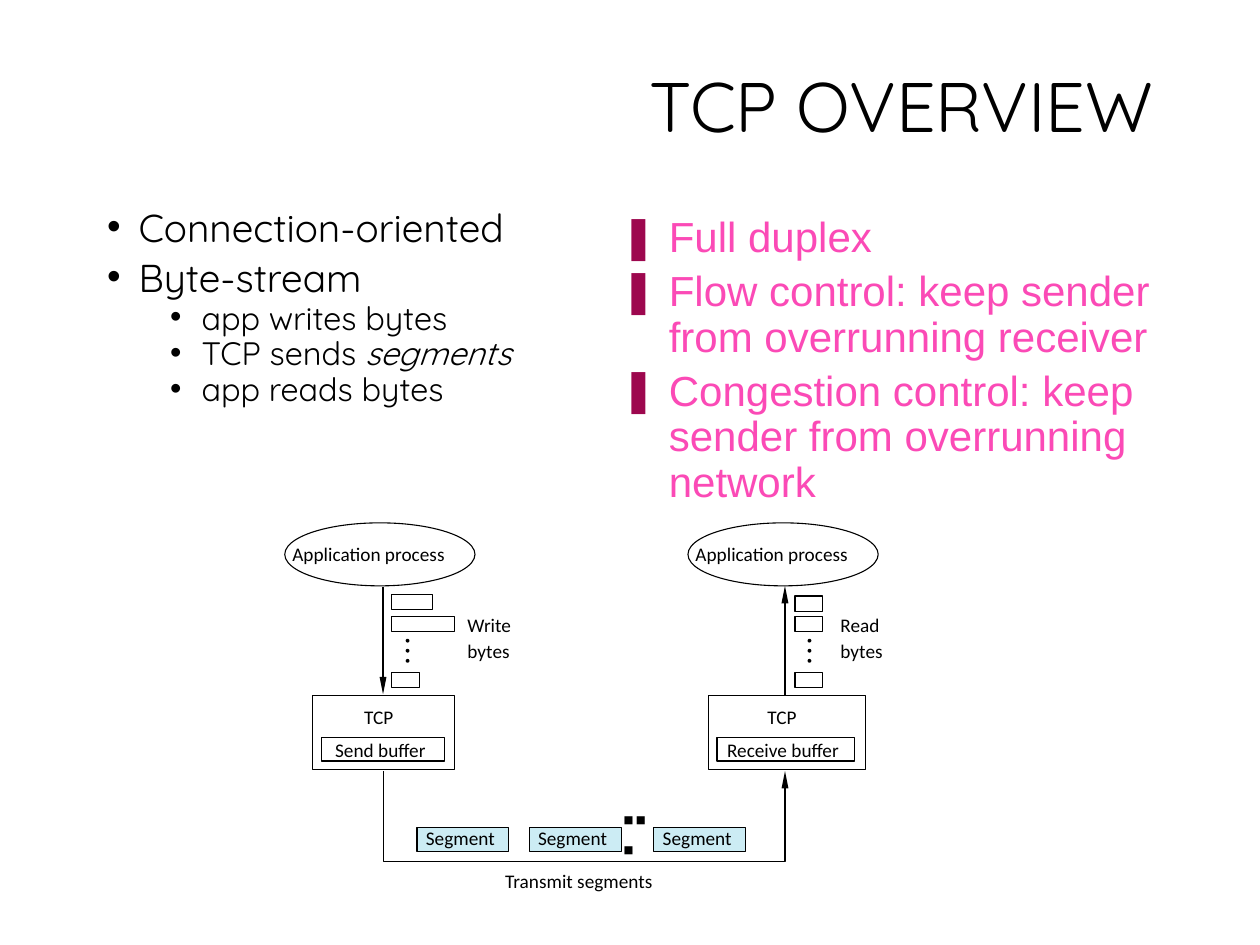
"""Build the TCP overview slide with its two bullet lists and data-flow diagram."""
from dataclasses import dataclass
from typing import Any, Optional

from lxml import etree
from pptx import Presentation
from pptx.dml.color import RGBColor
from pptx.enum import shapes, text
from pptx.oxml.ns import qn
from pptx.util import Inches, Pt


@dataclass(frozen=True)
class Theme:
    """Colours, fonts and type sizes of the slide."""
    ink: str = "000000"
    paper: str = "FFFFFF"
    segment: str = "CCECF4"
    pink: str = "FB4AB6"
    marker: str = "9D074E"
    main: str = "Quicksand"
    accent: str = "Arial"
    label: str = "Calibri"
    title_pt: float = 40
    item_pt: float = 22.2
    subitem_pt: float = 18.5
    accent_pt: float = 24
    label_pt: float = 11
    square_pt: float = 6
    gap_pt: float = 16
    line_pt: float = 0.63


@dataclass(frozen=True)
class Item:
    """A bullet paragraph, with an optional italic ending."""
    words: str
    level: int = 0
    italic: str = ""


@dataclass(frozen=True)
class Bullets:
    """The look of one bullet level."""
    char: str
    left: float
    hang: float
    spacing: float
    before: float
    font: str
    size: float
    color: str
    bullet_color: str


@dataclass(frozen=True)
class Box:
    """An outlined preset shape, in inches."""
    x: float
    y: float
    w: float
    h: float
    fill: Optional[str] = None
    kind: Any = shapes.MSO_SHAPE.RECTANGLE


@dataclass(frozen=True)
class Label:
    """A one-line caption, in inches."""
    words: str
    x: float
    y: float
    w: float


T = Theme()
MAIN = [
    Bullets("•", 0.25, 0.25, 0.7, 10, T.main, T.item_pt, T.ink, T.ink),
    Bullets("•", 0.75, 0.25, 0.7, 5, T.main, T.subitem_pt, T.ink, T.ink),
]
ACCENT = [Bullets("❚", 0.38, 0.38, 0.9, 5, T.accent, T.accent_pt, T.pink, T.marker)]
LEFT_ITEMS = [
    Item("Connection-oriented"),
    Item("Byte-stream"),
    Item("app writes bytes", 1),
    Item("TCP sends ", 1, "segments"),
    Item("app reads bytes", 1),
]
RIGHT_ITEMS = [
    Item("Full duplex"),
    Item("Flow control: keep sender from overrunning receiver"),
    Item("Congestion control: keep sender from overrunning network"),
]
OVAL = shapes.MSO_SHAPE.OVAL
SEND_X, RECEIVE_X = 3.04, 6.23
SEGMENT_XS = (3.31, 4.2, 5.19)
BOXES = [
    Box(2.48, 5.52, 1.13, 0.59, T.paper),
    Box(5.62, 5.52, 1.25, 0.59, T.paper),
    Box(2.26, 4.15, 1.51, 0.5, T.paper, OVAL),
    Box(5.46, 4.15, 1.51, 0.5, T.paper, OVAL),
    Box(2.55, 5.85, 0.98, 0.19),
    Box(5.69, 5.85, 1.09, 0.19),
    *[Box(3.11, y, w, 0.12) for y, w in ((4.72, 0.32), (4.89, 0.5), (5.34, 0.22))],
    *[Box(6.31, y, 0.22, 0.12) for y in (4.73, 4.89, 5.34)],
    *[Box(x, 6.57, 0.73, 0.19, T.segment) for x in SEGMENT_XS],
]
LABELS = [
    *[Label("Application process", x, 4.3, 1.33) for x in (2.32, 5.52)],
    *[Label("TCP", x, 5.6, 0.31) for x in (2.89, 6.09)],
    Label("Write", 3.71, 4.87, 0.35),
    Label("Read", 6.67, 4.87, 0.37),
    *[Label("bytes", x, 5.07, 0.36) for x in (3.71, 6.67)],
    Label("Send buffer", 2.66, 5.86, 0.79),
    Label("Receive buffer", 5.77, 5.86, 0.99),
    *[Label("Segment", x + 0.07, 6.56, 0.61) for x in SEGMENT_XS],
    Label("Transmit segments", 4.01, 6.9, 1.3),
]


def add_run(p: Any, words: str, font: str, size: float, color: str, italic: bool = False) -> None:
    """Append one formatted run."""
    r = p.add_run()
    r.text = words
    r.font.name, r.font.size = font, Pt(size)
    r.font.color.rgb = RGBColor.from_string(color)
    if italic:
        r.font.italic = True


def place(sp: Any, x: float, y: float, w: float, h: float) -> None:
    """Move and size a placeholder."""
    sp.left, sp.top, sp.width, sp.height = (Inches(v) for v in (x, y, w, h))


def fill_list(tf: Any, items: list[Item], levels: list[Bullets]) -> None:
    """Write the bullet paragraphs of a list."""
    tf.word_wrap, tf.auto_size = True, text.MSO_AUTO_SIZE.NONE
    for i, item in enumerate(items):
        p = tf.add_paragraph() if i else tf.paragraphs[0]
        b = levels[item.level]
        p.level, p.line_spacing = item.level, b.spacing
        p.space_before, p.space_after = Pt(b.before if i else 0), Pt(0)
        pPr = p._p.get_or_add_pPr()
        pPr.set("marL", str(Inches(b.left)))
        pPr.set("indent", str(-Inches(b.hang)))
        clr = etree.SubElement(pPr, qn("a:buClr"))
        etree.SubElement(clr, qn("a:srgbClr"), val=b.bullet_color)
        etree.SubElement(pPr, qn("a:buFont"), typeface="Arial")
        etree.SubElement(pPr, qn("a:buChar"), char=b.char)
        add_run(p, item.words, b.font, b.size, b.color)
        if item.italic:
            add_run(p, item.italic, b.font, b.size, b.color, True)


def add_textbox(s: Any, x: float, y: float, w: float, h: float, wrap: bool) -> Any:
    """Add a text box without insets and return its first paragraph."""
    tf = s.shapes.add_textbox(Inches(x), Inches(y), Inches(w), Inches(h)).text_frame
    tf.margin_left = tf.margin_right = tf.margin_top = tf.margin_bottom = 0
    tf.word_wrap, tf.auto_size = wrap, text.MSO_AUTO_SIZE.SHAPE_TO_FIT_TEXT
    return tf.paragraphs[0]


def set_line(sp: Any, arrow: bool = False) -> None:
    """Give a shape the thin outline, with an arrowhead at its end if asked."""
    sp.line.width = Pt(T.line_pt)
    sp.line.color.rgb = RGBColor.from_string(T.ink)
    if arrow:
        ln = sp._element.spPr.find(qn("a:ln"))
        etree.SubElement(ln, qn("a:tailEnd"), type="triangle", w="sm", len="lg")


def add_box(s: Any, box: Box) -> Any:
    """Draw an outlined shape."""
    sp = s.shapes.add_shape(box.kind, *(Inches(v) for v in (box.x, box.y, box.w, box.h)))
    sp.shadow.inherit = False
    if box.fill:
        sp.fill.solid()
        sp.fill.fore_color.rgb = RGBColor.from_string(box.fill)
    else:
        sp.fill.background()
    set_line(sp)
    return sp


def add_arrow(s: Any, x: float, y1: float, y2: float) -> None:
    """Draw a vertical arrow from y1 to y2."""
    cx = s.shapes.add_connector(shapes.MSO_CONNECTOR.STRAIGHT,
                                Inches(x), Inches(y1), Inches(x), Inches(y2))
    set_line(cx, True)
    etree.SubElement(cx._element.spPr, qn("a:effectLst"))


def add_route(s: Any, points: list[tuple[float, float]]) -> None:
    """Draw an open angled path ending in an arrowhead."""
    (x, y), *rest = [(Inches(px), Inches(py)) for px, py in points]
    builder = s.shapes.build_freeform(x, y)
    builder.add_line_segments(rest, close=False)
    sp = builder.convert_to_shape()
    sp.shadow.inherit = False
    sp.fill.background()
    set_line(sp, True)


def main() -> None:
    """Build and save the slide."""
    prs = Presentation()
    prs.slide_width, prs.slide_height = Inches(10), Inches(7.5)
    s = prs.slides.add_slide(prs.slide_layouts[1])
    title, body = s.placeholders

    place(title, 0.75, 0.5, 8.5, 0.75)
    tf = title.text_frame
    tf.auto_size, tf.vertical_anchor = text.MSO_AUTO_SIZE.NONE, text.MSO_ANCHOR.MIDDLE
    p = tf.paragraphs[0]
    p.alignment, p.line_spacing = text.PP_ALIGN.RIGHT, 0.9
    add_run(p, "TCP OVERVIEW", T.main, T.title_pt, T.ink)

    place(body, 0.75, 1.67, 3.5, 2.25)
    fill_list(body.text_frame, LEFT_ITEMS, MAIN)
    right = s.shapes.add_textbox(Inches(4.83), Inches(1.67), Inches(4.75), Inches(1.83))
    fill_list(right.text_frame, RIGHT_ITEMS, ACCENT)

    for box in BOXES:
        add_box(s, box)
    for x in (3.22, 6.41):
        for i in range(3):
            add_box(s, Box(x, 5.07 + 0.08 * i, 0.03, 0.03, T.ink, OVAL)).line.fill.background()
    add_arrow(s, SEND_X, 4.66, 5.51)
    add_arrow(s, RECEIVE_X, 5.52, 4.65)
    add_route(s, [(SEND_X, 6.12), (SEND_X, 6.84), (RECEIVE_X, 6.84), (RECEIVE_X, 6.12)])
    for label in LABELS:
        p = add_textbox(s, label.x, label.y, label.w, 0.18, False)
        add_run(p, label.words, T.label, T.label_pt, T.ink)
    p = add_textbox(s, 4.95, 6.45, 0.27, 0.27, True)
    add_run(p, "■ ■ ■", T.label, T.square_pt, T.ink)
    add_run(p, " ", T.label, T.gap_pt, T.ink)
    prs.save("out.pptx")


if __name__ == "__main__":
    main()
